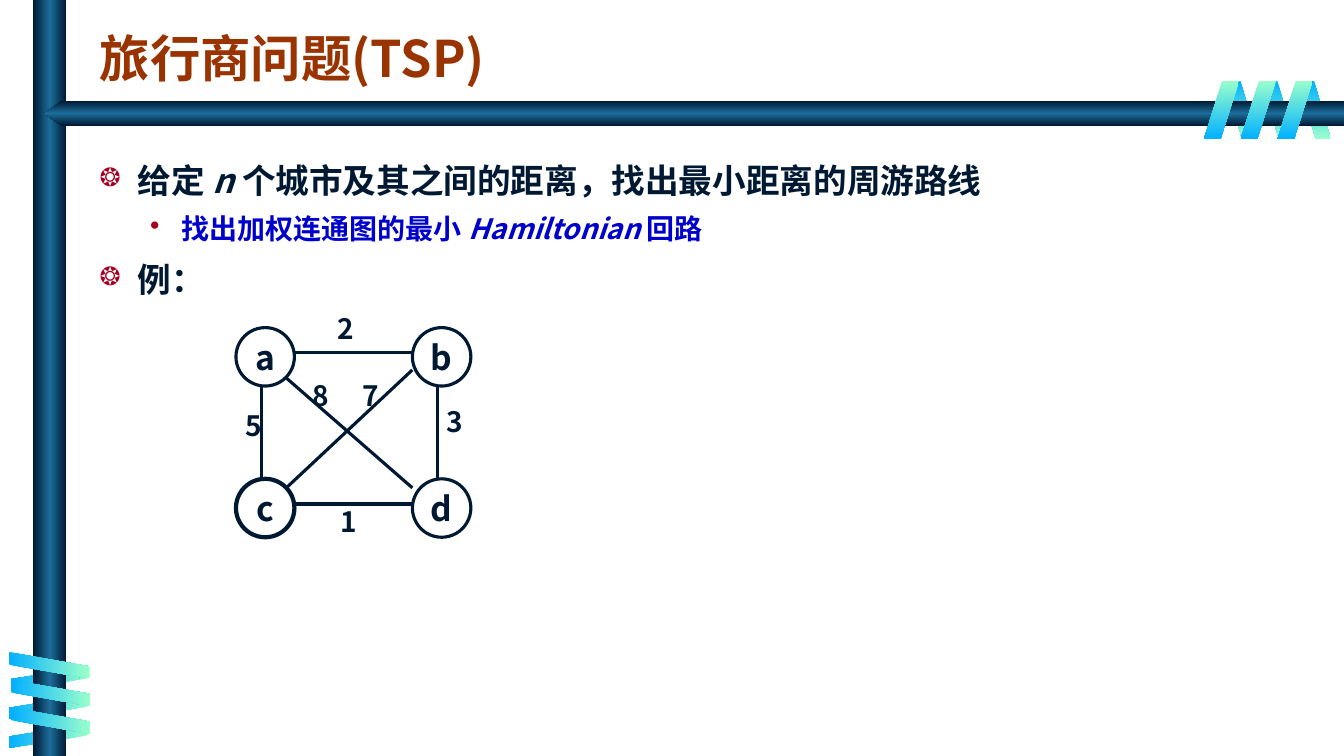
"""Build the slide that introduces the travelling salesman problem."""
from dataclasses import dataclass
from typing import Any

from pptx import Presentation
from pptx import util as u
from pptx.dml.color import RGBColor
from pptx.enum import shapes, text
from pptx.oxml import ns, xmlchemy

FONT = "Noto Sans CJK SC"
NAVY, STEEL, SKY, MINT = "001932", "1C6D9A", "01B0FF", "99FFCC"
RUST, CRIMSON, BLUE = "993300", "A50021", "0000CC"
KIND = shapes.MSO_SHAPE
NODE_SIZE = 0.58


@dataclass(frozen=True)
class Ribbon:
    """Strips of one side of a coil, from first to last."""
    places: list[tuple[float, float]]
    width: float
    height: float
    colors: tuple[str, ...]
    angle: int
    rotation: int = 0
    flipped: bool = False


@dataclass(frozen=True)
class Node:
    """A city of the graph."""
    name: str
    left: float
    top: float
    line_width: float = 2.25


@dataclass(frozen=True)
class Edge:
    """A road between two cities, with its length and label place."""
    start: tuple[float, float]
    end: tuple[float, float]
    weight: str
    label: tuple[float, float]


@dataclass(frozen=True)
class Bullet:
    """A bulleted line whose every second run is italic."""
    runs: tuple[str, ...]
    level: int = 0
    before: float = 6.3


BACK_RIGHT = Ribbon([(12.88 - 0.365 * i, 0.8) for i in range(3)],
                    0.32, 0.58, (SKY, MINT), 90, 180, True)
BACK_LEFT = Ribbon([(left, 6.34 + 0.285 * i) for i, left in enumerate((0.38, 0.36, 0.36))],
                   0.24, 0.78, (MINT, SKY), 0, 90, True)
FRONT_LEFT = Ribbon([(left, 6.21 + 0.275 * i) for i, left in enumerate((0.35, 0.37, 0.37))],
                    0.26, 0.78, (SKY, MINT), 0, 270)
FRONT_RIGHT = Ribbon([(12.67 - 0.365 * i, 0.8) for i in range(3)],
                     0.35, 0.58, (MINT, SKY), 90)

NODES = [Node("a", 2.34, 3.25), Node("b", 4.09, 3.25),
         Node("c", 2.34, 4.75, 3), Node("d", 4.09, 4.75)]
EDGES = [
    Edge((2.92, 3.5), (4.09, 3.5), "2", (3.25, 3.04)),
    Edge((2.59, 3.84), (2.59, 4.75), "5", (2.34, 4)),
    Edge((2.92, 5), (4.09, 5), "1", (3.28, 4.96)),
    Edge((4.34, 3.84), (4.34, 4.75), "3", (4.33, 3.96)),
    Edge((2.84, 3.75), (4.09, 4.84), "8", (3, 3.71)),
    Edge((4.09, 3.67), (2.84, 4.84), "7", (3.5, 3.71)),
]
BULLETS = [
    Bullet(("给定 ", "n ", "个城市及其之间的距离，找出最小距离的周游路线"), before=0),
    Bullet(("找出加权连通图的最小 ", "Hamiltonian ", "回路"), 1, 5.3),
    Bullet(("例：",)),
]


def rgb(value: str) -> RGBColor:
    """Return the colour of a hex string."""
    return RGBColor.from_string(value)


def add_element(parent: Any, tag: str, **attributes: str) -> Any:
    """Append a DrawingML element and return it."""
    element = xmlchemy.OxmlElement(tag)
    for name, value in attributes.items():
        element.set(name, value)
    parent.append(element)
    return element


def add_run(paragraph: Any, content: str, *, size: float, color: str = NAVY,
            italic: bool = False) -> None:
    """Add bold text to a paragraph."""
    run = paragraph.add_run()
    run.text = content
    font = run.font
    font.name, font.size, font.bold, font.italic = FONT, u.Pt(size), True, italic
    font.color.rgb = rgb(color)
    add_element(font._element, "a:ea", typeface=FONT)


def add_text_box(slide: Any, left: float, top: float, width: float, height: float,
                 *, wrap: bool = True) -> Any:
    """Add an empty text box and return its text frame."""
    box = slide.shapes.add_textbox(*map(u.Inches, (left, top, width, height)))
    box.text_frame.word_wrap = wrap
    return box.text_frame


def add_gradient_shape(slide: Any, kind: Any, left: float, top: float, width: float,
                       height: float, colors: tuple[str, ...], angle: int,
                       *, flipped: bool = False) -> Any:
    """Add a borderless shape whose gradient stays upright."""
    shape = slide.shapes.add_shape(kind, *map(u.Inches, (left, top, width, height)))
    shape.shadow.inherit = False
    shape.line.fill.background()
    shape.fill.gradient()
    shape.fill.gradient_angle = -angle % 360
    properties = shape._element.spPr
    properties.find(ns.qn("a:gradFill")).set("rotWithShape", "0")
    stops = properties.find(".//" + ns.qn("a:gsLst"))
    for stop in list(stops):
        stops.remove(stop)
    for index, color in enumerate(colors):
        position = 100000 * index // (len(colors) - 1)
        stop = add_element(stops, "a:gs", pos=str(position))
        add_element(stop, "a:srgbClr", val=color)
    if flipped:
        properties.find(ns.qn("a:xfrm")).set("flipH", "1")
    return shape


def add_ribbon(slide: Any, ribbon: Ribbon) -> None:
    """Draw the strips of a ribbon."""
    for left, top in ribbon.places:
        strip = add_gradient_shape(slide, KIND.PARALLELOGRAM, left, top, ribbon.width,
                                   ribbon.height, ribbon.colors, ribbon.angle,
                                   flipped=ribbon.flipped)
        strip.adjustments[0] = 0.53
        strip.rotation = ribbon.rotation


def add_bullet(paragraph: Any, bullet: Bullet) -> None:
    """Fill a paragraph with a bulleted line."""
    main = bullet.level == 0
    paragraph.level = bullet.level
    paragraph.line_spacing = 1.12
    paragraph.space_before = u.Pt(bullet.before)
    properties = paragraph._p.get_or_add_pPr()
    properties.set("marL", str(u.Inches(0.38 if main else 0.81)))
    properties.set("indent", str(-u.Inches(0.38 if main else 0.31)))
    add_element(add_element(properties, "a:buClr"), "a:srgbClr", val=CRIMSON)
    add_element(properties, "a:buSzPct", val="75000" if main else "100000")
    add_element(properties, "a:buChar", char="❂" if main else "•")
    for index, content in enumerate(bullet.runs):
        add_run(paragraph, content, size=24 if main else 20,
                color=NAVY if main else BLUE, italic=index % 2 == 1)


def add_node(slide: Any, node: Node) -> None:
    """Draw a city as a lettered circle."""
    circle = slide.shapes.add_shape(
        KIND.OVAL, *map(u.Inches, (node.left, node.top, NODE_SIZE, NODE_SIZE)))
    circle.shadow.inherit = False
    circle.fill.background()
    circle.line.color.rgb = rgb(NAVY)
    circle.line.width = u.Pt(node.line_width)
    frame = circle.text_frame
    frame.word_wrap = False
    frame.vertical_anchor = text.MSO_ANCHOR.MIDDLE
    frame.paragraphs[0].alignment = text.PP_ALIGN.CENTER
    add_run(frame.paragraphs[0], node.name, size=24)


def add_edge(slide: Any, edge: Edge) -> None:
    """Draw a road and its length."""
    road = slide.shapes.add_connector(shapes.MSO_CONNECTOR.STRAIGHT,
                                      *map(u.Inches, edge.start + edge.end))
    road.line.color.rgb = rgb(NAVY)
    road.line.width = u.Pt(2.25)
    add_element(road._element.spPr, "a:effectLst")
    frame = add_text_box(slide, *edge.label, 0.34, 0.44, wrap=False)
    frame.paragraphs[0].alignment = text.PP_ALIGN.CENTER
    add_run(frame.paragraphs[0], edge.weight, size=20)


def main() -> None:
    """Build and save the presentation."""
    presentation = Presentation()
    presentation.slide_width, presentation.slide_height = u.Inches(13.33), u.Inches(7.5)
    slide = presentation.slides.add_slide(presentation.slide_layouts[6])

    for ribbon in (BACK_RIGHT, BACK_LEFT):
        add_ribbon(slide, ribbon)
    metal = (NAVY, STEEL, NAVY)
    add_gradient_shape(slide, KIND.RECTANGLE, 0.33, 0, 0.33, 7.5, metal, 0)
    beam = add_gradient_shape(slide, KIND.PENTAGON, 0.44, 1, 12.89, 0.25, metal, 90, flipped=True)
    beam.adjustments[0] = 0.68
    for ribbon in (FRONT_LEFT, FRONT_RIGHT):
        add_ribbon(slide, ribbon)

    title = add_text_box(slide, 0.89, 0.17, 10.78, 0.75)
    title.vertical_anchor = text.MSO_ANCHOR.BOTTOM
    add_run(title.paragraphs[0], "旅行商问题(TSP)", size=36, color=RUST)
    body = add_text_box(slide, 0.89, 1.39, 12.22, 5.36)
    body.margin_top = u.Inches(0.15)
    for index, bullet in enumerate(BULLETS):
        add_bullet(body.add_paragraph() if index else body.paragraphs[0], bullet)

    for node in NODES:
        add_node(slide, node)
    for edge in EDGES:
        add_edge(slide, edge)
    presentation.save("out.pptx")


if __name__ == "__main__":
    main()
